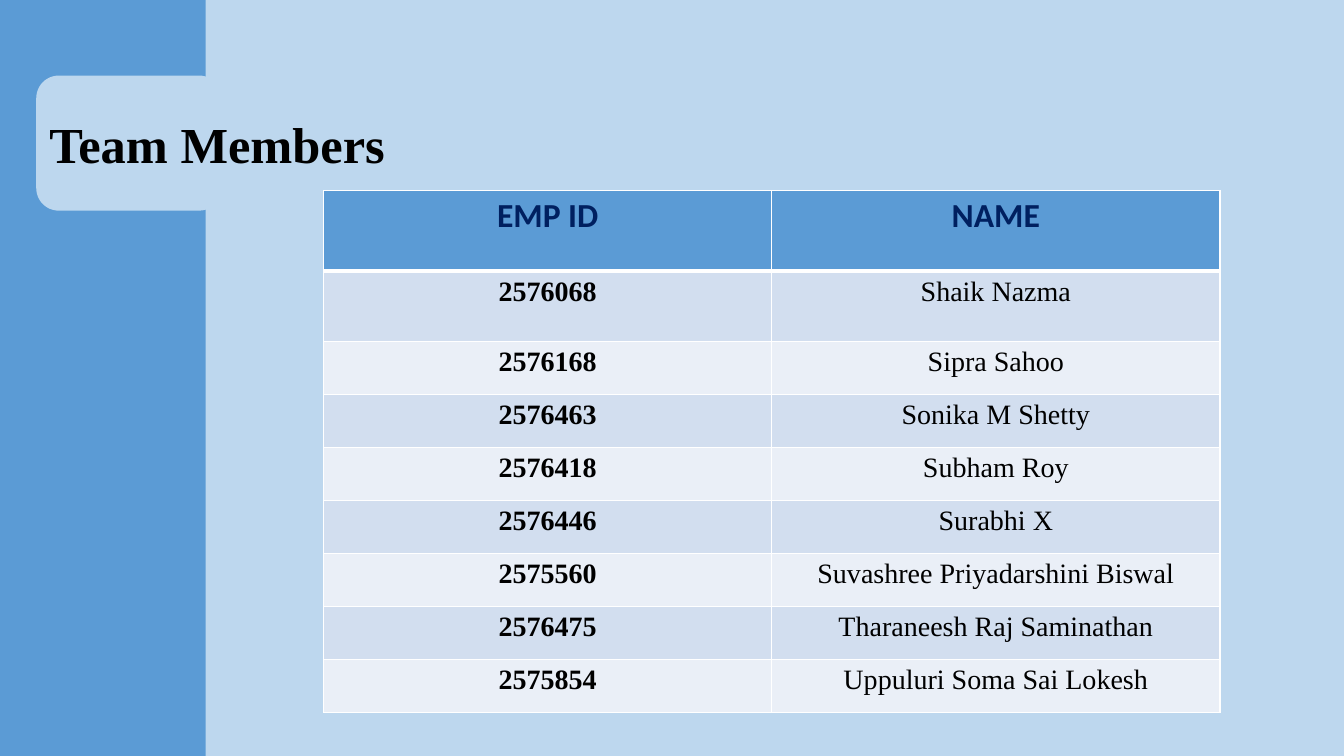
import dataclasses

import lxml.etree
import pptx
import pptx.dml.color
import pptx.enum.shapes
import pptx.enum.text
import pptx.oxml.ns
import pptx.util

SLIDE_WIDTH, SLIDE_HEIGHT = 13.33, 7.5
TITLE_ONLY_LAYOUT = 5


@dataclasses.dataclass(frozen=True)
class Theme:
    accent: str = "5B9BD5"
    panel: str = "BDD7EE"
    bands: tuple = ("D2DEEF", "EAEFF7")
    border: str = "FFFFFF"
    heading: str = "002060"
    text: str = "000000"
    serif: str = "Times New Roman"
    sans: str = "Calibri"
    title_size: int = 36
    header_size: int = 24
    body_size: int = 20


THEME = Theme()
TITLE_FORMAT = {"name": THEME.serif, "size": THEME.title_size, "color": THEME.text, "bold": True}
HEADER_FORMAT = {"name": THEME.sans, "size": THEME.header_size, "color": THEME.heading, "bold": True}
ID_FORMAT = {"name": THEME.serif, "size": THEME.body_size, "color": THEME.text, "bold": True}
NAME_FORMAT = {**ID_FORMAT, "bold": False}

MEMBERS = [
    ("2576068", "Shaik Nazma"),
    ("2576168", "Sipra Sahoo"),
    ("2576463", "Sonika M Shetty"),
    ("2576418", "Subham Roy"),
    ("2576446", "Surabhi X"),
    ("2575560", "Suvashree Priyadarshini Biswal"),
    ("2576475", "Tharaneesh Raj Saminathan"),
    ("2575854", "Uppuluri Soma Sai Lokesh"),
]


def inches(box):
    return [pptx.util.Inches(length) for length in box]


def paint(fill, color):
    fill.solid()
    fill.fore_color.rgb = pptx.dml.color.RGBColor.from_string(color)


def write(text_frame, text, alignment, format_values):
    paragraph = text_frame.paragraphs[0]
    paragraph.alignment = alignment
    run = paragraph.add_run()
    run.text = text
    for key, value in format_values.items():
        if key == "color":
            run.font.color.rgb = pptx.dml.color.RGBColor.from_string(value)
        else:
            setattr(run.font, key, pptx.util.Pt(value) if key == "size" else value)


def add_panel(slide, kind, box):
    shape = slide.shapes.add_shape(kind, *inches(box))
    shape.shadow.inherit = False
    paint(shape.fill, THEME.panel)
    shape.line.fill.background()


def add_backdrop(slide, box):
    left, top, width, height = box
    paint(slide.background.fill, THEME.accent)
    shapes = pptx.enum.shapes.MSO_SHAPE
    # Light panel beside the accent strip, and the tab that cuts into the strip
    strip = 2.04
    add_panel(slide, shapes.RECTANGLE, (left + strip, top, width - strip, height))
    add_panel(slide, shapes.ROUNDED_RECTANGLE, (left + 0.36, top + 0.1 * height, 1.84, 1.34))


def add_title(slide, box):
    title = slide.shapes.title
    for key, value in zip(("left", "top", "width", "height"), inches(box)):
        setattr(title, key, value)
    frame_format = {
        "word_wrap": True,
        "auto_size": pptx.enum.text.MSO_AUTO_SIZE.SHAPE_TO_FIT_TEXT,
        "vertical_anchor": pptx.enum.text.MSO_ANCHOR.TOP,
    }
    for key, value in frame_format.items():
        setattr(title.text_frame, key, value)
    title.text_frame.paragraphs[0].line_spacing = 1.0
    write(title.text_frame, "Team Members", pptx.enum.text.PP_ALIGN.LEFT, TITLE_FORMAT)
    # Bring the title in front of the panels
    slide.shapes[-1].element.addnext(title.element)


def set_borders(cell, widths):
    properties = cell._tc.get_or_add_tcPr()
    qn = pptx.oxml.ns.qn
    for side, width in widths.items():
        line = lxml.etree.SubElement(properties, qn(f"a:ln{side}"), w=str(pptx.util.Pt(width)))
        solid = lxml.etree.SubElement(line, qn("a:solidFill"))
        lxml.etree.SubElement(solid, qn("a:srgbClr"), val=THEME.border)


def add_member_table(slide, box):
    rows = [("EMP ID", "NAME"), *MEMBERS]
    table = slide.shapes.add_table(len(rows), 2, *inches(box)).table
    width, height = box[2:]
    for column in table.columns:
        column.width = pptx.util.Inches(width / 2)

    # Two taller rows first, the rest share what remains
    tall_rows = [0.8, 0.7]
    even_height = (height - sum(tall_rows)) / (len(rows) - len(tall_rows))
    heights = tall_rows + [even_height] * (len(rows) - len(tall_rows))

    for row_index, (values, row_height) in enumerate(zip(rows, heights)):
        table.rows[row_index].height = pptx.util.Inches(row_height)
        is_header = row_index == 0
        formats = (HEADER_FORMAT, HEADER_FORMAT) if is_header else (ID_FORMAT, NAME_FORMAT)
        color = THEME.accent if is_header else THEME.bands[(row_index - 1) % 2]
        borders = {"L": 1, "R": 1, "T": 3 if row_index == 1 else 1, "B": 3 if is_header else 1}
        for column_index, value in enumerate(values):
            cell = table.cell(row_index, column_index)
            set_borders(cell, borders)
            paint(cell.fill, color)
            if not is_header:
                cell.margin_left = cell.margin_right = pptx.util.Inches(0.07)
            write(cell.text_frame, value, pptx.enum.text.PP_ALIGN.CENTER, formats[column_index])


def build_team_slide(presentation):
    slide = presentation.slides.add_slide(presentation.slide_layouts[TITLE_ONLY_LAYOUT])
    add_backdrop(slide, (0, 0, SLIDE_WIDTH, SLIDE_HEIGHT))
    add_title(slide, (0.39, 1.07, 3.64, 0.71))
    add_member_table(slide, (3.21, 1.89, 8.89, 5.18))


def main():
    presentation = pptx.Presentation()
    presentation.slide_width = pptx.util.Inches(SLIDE_WIDTH)
    presentation.slide_height = pptx.util.Inches(SLIDE_HEIGHT)
    build_team_slide(presentation)
    presentation.save("out.pptx")


if __name__ == "__main__":
    main()
